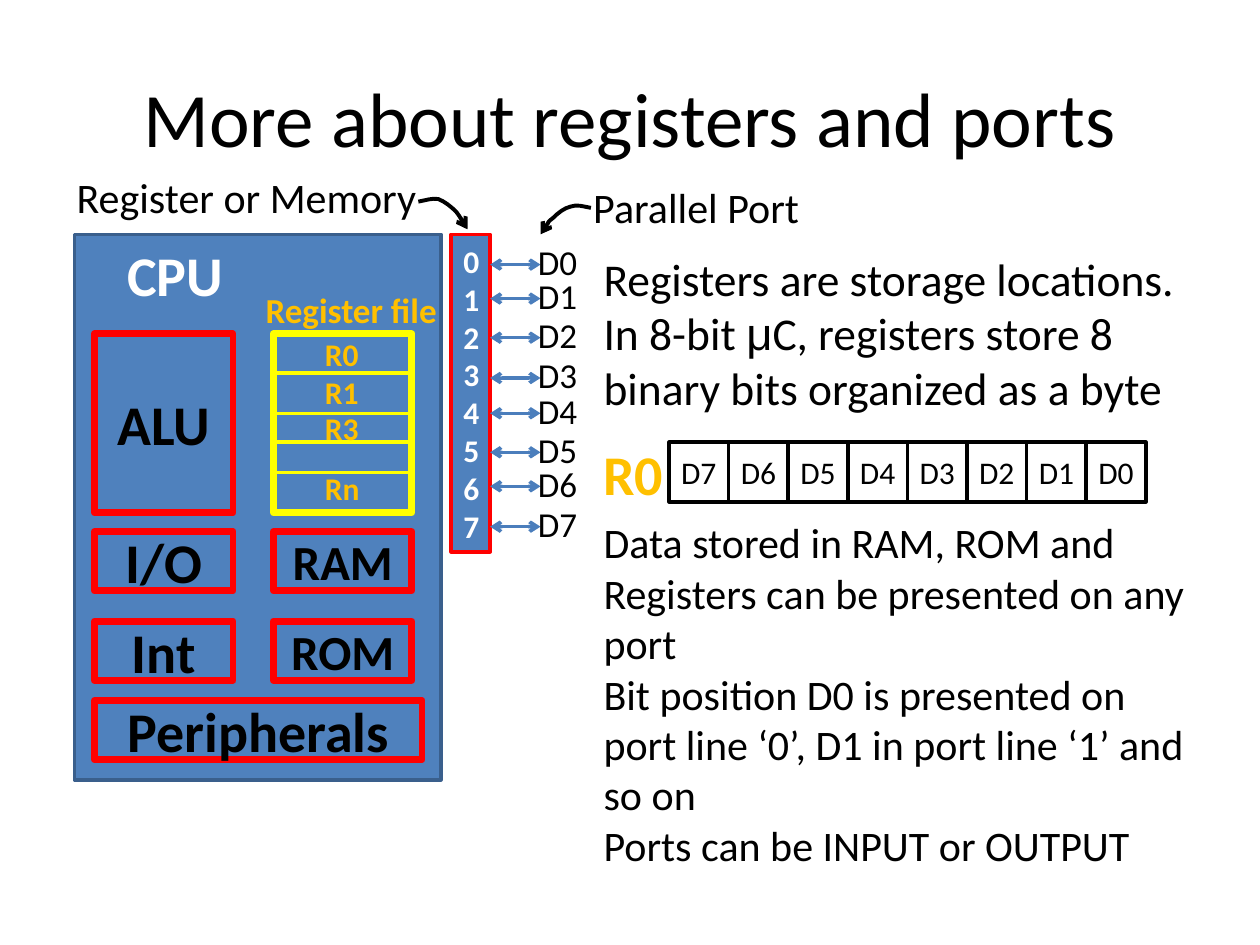
from lxml import etree
from pptx import Presentation, util as u
from pptx.dml.color import RGBColor
from pptx.enum import shapes as s, text as t
from pptx.oxml.ns import qn

BLACK = RGBColor(0x00, 0x00, 0x00)
WHITE = RGBColor(0xFF, 0xFF, 0xFF)
RED = RGBColor(0xFF, 0x00, 0x00)
YELLOW = RGBColor(0xFF, 0xFF, 0x00)
GOLD = RGBColor(0xFF, 0xC0, 0x00)
BLUE = RGBColor(0x4F, 0x81, 0xBD)
DARK_BLUE = RGBColor(0x3A, 0x5F, 0x8C)
ARROW_BLUE = RGBColor(0x4B, 0x7E, 0xBC)

TITLE = "More about registers and ports"
# Each paragraph: size, space before, (text, font) pieces
NOTES = [
    (26, 0, [("Registers are storage locations. In 8-bit ", "Calibri"), ("μ", "Arial"),
             ("C, registers store 8 binary bits organized as a byte", "Calibri")]),
    (24, 58.5, [("Data stored in RAM, ROM and Registers can be presented on any port",
                 "Calibri")]),
    (24, 0, [("Bit position D0 is presented on port line ‘0’, D1 in port line ‘1’ and so on",
              "Calibri")]),
    (24, 0, [("Ports can be INPUT or OUTPUT", "Calibri")]),
]

# CPU blocks sit in two columns
LEFT_COL, RIGHT_COL, BLOCK_W, BLOCK_H = 0.75, 2.17, 1.1, 0.47
UPPER_ROW, MEMORY_ROW, LOWER_ROW, LAST_ROW = 2.65, 4.22, 4.93, 5.56
CORE_H = 1.42
BLOCKS = [
    ("ALU", LEFT_COL, UPPER_ROW, BLOCK_W, CORE_H, 32),
    ("I/O", LEFT_COL, MEMORY_ROW, BLOCK_W, BLOCK_H, 32),
    ("Int", LEFT_COL, LOWER_ROW, BLOCK_W, BLOCK_H, 32),
    ("RAM", RIGHT_COL, MEMORY_ROW, BLOCK_W, BLOCK_H, 28),
    ("ROM", RIGHT_COL, LOWER_ROW, BLOCK_W, BLOCK_H, 28),
    ("Peripherals", LEFT_COL, LAST_ROW, 2.6, BLOCK_H, 32),
]
REGISTER_RULES = [2.96, 3.28, 3.51, 3.75]
REGISTERS = [("R0", 2.61), ("R1", 2.91), ("R3", 3.2), ("Rn", 3.67)]

PORT_LEFT, PORT_W = 3.58, 0.31
PORT_LINES = [2.1, 2.37, 2.68, 3.0, 3.28, 3.59, 3.86, 4.18]
BYTE_LEFT, BYTE_TOP, BIT = 5.31, 3.51, 0.473

# Text, left, top, width, height, size, colour, bold
LABELS = [
    ("Register file", 2.01, 2.24, 1.77, 0.44, 20, GOLD, True),
    ("Register or Memory", 0.51, 1.31, 2.91, 0.5, 24, BLACK, False),
    ("Parallel Port", 4.61, 1.39, 1.89, 0.5, 24, BLACK, False),
    ("CPU", 0.91, 1.86, 1.22, 0.64, 32, WHITE, True),
    ("R0", 4.69, 3.44, 0.71, 0.64, 32, GOLD, True),
]
# Start point, then two controls and an end point per curve
POINTERS = [
    [(3.32, 1.6), (3.38, 1.59), (3.43, 1.57), (3.48, 1.58), (3.53, 1.6),
     (3.58, 1.64), (3.62, 1.68), (3.65, 1.72), (3.68, 1.77), (3.71, 1.82)],
    [(4.69, 1.65), (4.63, 1.64), (4.58, 1.62), (4.53, 1.64), (4.48, 1.65),
     (4.43, 1.69), (4.39, 1.73), (4.35, 1.76), (4.32, 1.81), (4.29, 1.86)],
]


def style(run, size, color=BLACK, bold=False, font="Calibri"):
    run.font.size, run.font.bold, run.font.name = u.Pt(size), bold, font
    run.font.color.rgb = color


def write(frame, words, size, color, bold, align):
    frame.text = words
    for para in frame.paragraphs:
        para.alignment = align
        style(para.runs[0], size, color, bold)


def inches(*lengths):
    return [u.Inches(length) for length in lengths]


def draw_line(part, color, width, ends=()):
    """Style an outline; ends may name headEnd and tailEnd for open arrowheads."""
    part.line.color.rgb = color
    part.line.width = u.Pt(width)
    for end in ends:
        etree.SubElement(part.line._get_or_add_ln(), qn(f"a:{end}"), type="arrow")


def add_box(slide, box, fill, line, width, words="", size=18, color=BLACK,
            bold=True, inset=None):
    part = slide.shapes.add_shape(s.MSO_SHAPE.RECTANGLE, *inches(*box))
    part.shadow.inherit = False
    if fill is None:
        part.fill.background()
    else:
        part.fill.solid()
        part.fill.fore_color.rgb = fill
    draw_line(part, line, width)
    if words:
        frame = part.text_frame
        frame.vertical_anchor = t.MSO_ANCHOR.MIDDLE
        if inset is not None:
            frame.margin_left = frame.margin_right = inset
            frame.margin_top = frame.margin_bottom = inset
        write(frame, words, size, color, bold, t.PP_ALIGN.CENTER)


def add_label(slide, words, left, top, width, height, size, color=BLACK, bold=False):
    frame = slide.shapes.add_textbox(*inches(left, top, width, height)).text_frame
    frame.word_wrap = False
    frame.auto_size = t.MSO_AUTO_SIZE.SHAPE_TO_FIT_TEXT
    write(frame, words, size, color, bold, t.PP_ALIGN.LEFT)


def add_rule(slide, left, right, y, color, ends=()):
    rule = slide.shapes.add_connector(s.MSO_CONNECTOR.STRAIGHT, *inches(left, y, right, y))
    draw_line(rule, color, 2, ends)
    etree.SubElement(rule._element.spPr, qn("a:effectLst"))


def add_pointer(slide, points):
    """Draw a curved arrow by joining every three line points into one Bézier."""
    start, *rest = [inches(*point) for point in points]
    builder = slide.shapes.build_freeform(*start, scale=1.0)
    builder.add_line_segments(rest, close=False)
    pointer = builder.convert_to_shape()
    pointer.shadow.inherit = False
    pointer.fill.background()
    draw_line(pointer, BLACK, 2.25, ["tailEnd"])
    outline = next(pointer._element.iter(qn("a:path")))
    segments = outline.findall(qn("a:lnTo"))
    for first in range(0, len(segments), 3):
        curve = etree.SubElement(outline, qn("a:cubicBezTo"))
        for segment in segments[first:first + 3]:
            curve.append(segment[0])
            outline.remove(segment)


def add_notes(body):
    body.left, body.top, body.width, body.height = inches(4.69, 1.94, 4.88, 5.05)
    frame = body.text_frame
    frame.auto_size = t.MSO_AUTO_SIZE.NONE
    for index, (size, gap, pieces) in enumerate(NOTES):
        para = frame.paragraphs[0] if index == 0 else frame.add_paragraph()
        para.space_before = u.Pt(gap)
        properties = para._p.get_or_add_pPr()
        properties.set("marL", "0")
        properties.set("indent", "0")
        etree.SubElement(properties, qn("a:buNone"))
        for words, font in pieces:
            run = para.add_run()
            run.text = words
            style(run, size, font=font)


def main():
    deck = Presentation()
    deck.slide_width, deck.slide_height = inches(10, 7.5)
    slide = deck.slides.add_slide(deck.slide_layouts[1])
    title, body = slide.placeholders
    title.left, title.top, title.width, title.height = inches(0.5, 0.3, 9, 1.25)
    write(title.text_frame, TITLE, 44, BLACK, False, t.PP_ALIGN.CENTER)
    add_notes(body)

    add_box(slide, (0.59, 1.86, 2.91, 4.33), BLUE, DARK_BLUE, 2)
    for words, left, top, width, height, size in BLOCKS:
        add_box(slide, (left, top, width, height), BLUE, RED, 4, words, size)
    add_box(slide, (RIGHT_COL, UPPER_ROW, BLOCK_W, CORE_H), BLUE, YELLOW, 4)
    for y in REGISTER_RULES:
        add_rule(slide, RIGHT_COL, RIGHT_COL + BLOCK_W, y, YELLOW)
    for register, top in REGISTERS:
        add_label(slide, register, 2.48, top, 0.5, 0.4, 18, GOLD, True)

    bits = range(len(PORT_LINES))
    add_box(slide, (PORT_LEFT, 1.86, PORT_W, 2.52), BLUE, RED, 2,
            "\n".join(str(bit) for bit in bits), 18, WHITE)
    for bit, y in zip(bits, PORT_LINES):
        add_rule(slide, PORT_LEFT + PORT_W, 4.29, y, ARROW_BLUE, ["headEnd", "tailEnd"])
        add_label(slide, f"D{bit}", 4.17, y - 0.24, 0.51, 0.44, 20)
    for column, bit in enumerate(reversed(bits)):
        add_box(slide, (BYTE_LEFT + column * BIT, BYTE_TOP, BIT, BIT), None, BLACK, 2,
                f"D{bit}", bold=False, inset=0)

    for label in LABELS:
        add_label(slide, *label)
    for points in POINTERS:
        add_pointer(slide, points)
    deck.save("out.pptx")


if __name__ == "__main__":
    main()
